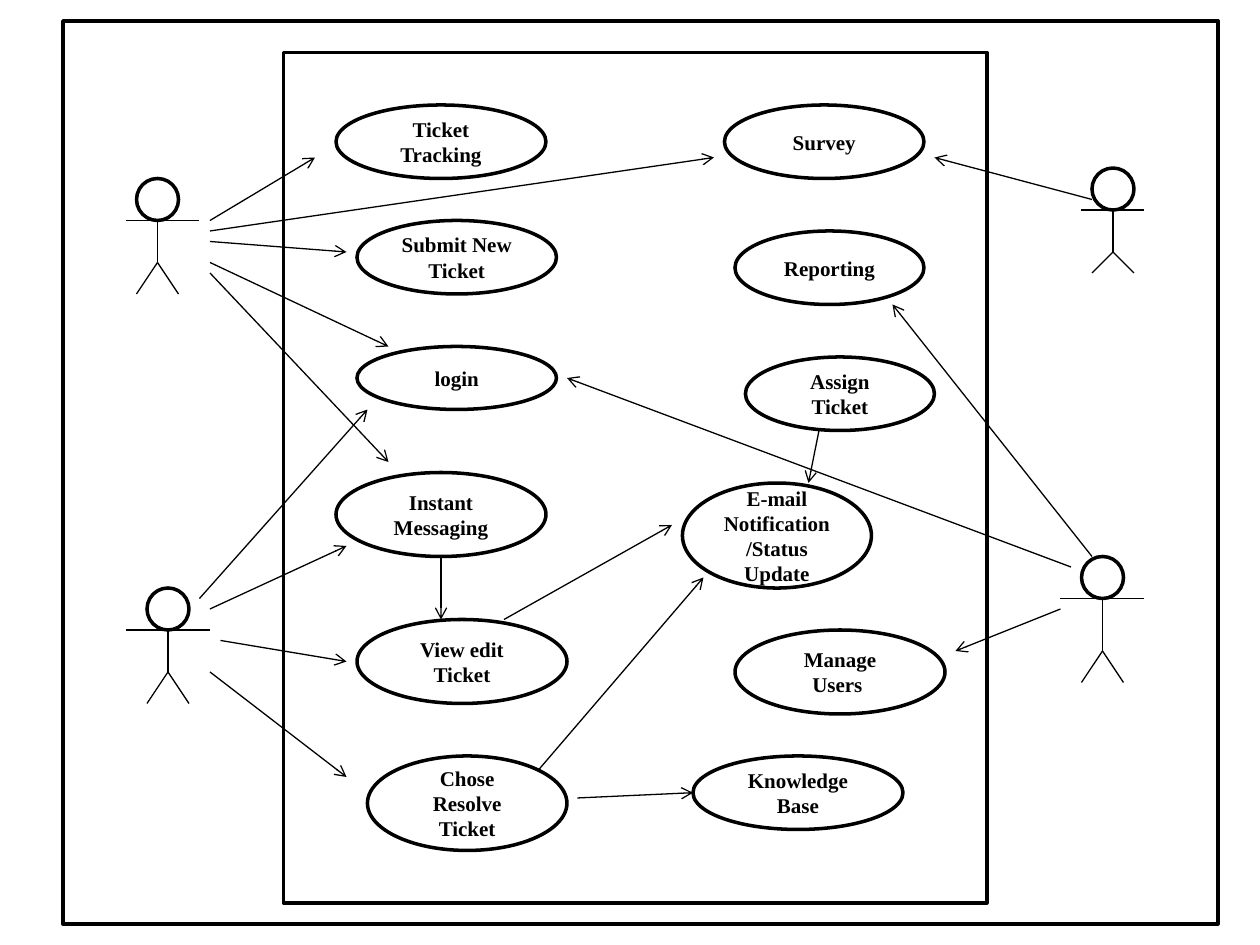
import pptx
import pptx.dml.color
import pptx.enum.shapes
import pptx.enum.text
import pptx.oxml
import pptx.oxml.ns
import pptx.util

PX = 9525  # EMU per px, 96 px to the inch
COLORS = {"ink": "000000", "paper": "FFFFFF"}
SHAPE = pptx.enum.shapes.MSO_SHAPE
HEAD = 32  # diameter of an actor's head
FOOT_SPREAD = 16


class Diagram:
    """Style and current slide of a use case diagram."""

    font_format = {"name": "Times New Roman", "size": pptx.util.Pt(12), "bold": True}
    frame_format = {
        "word_wrap": True,
        "vertical_anchor": pptx.enum.text.MSO_ANCHOR.MIDDLE,
    }
    outline_width = pptx.util.Pt(2)
    stroke_width = pptx.util.Pt(0.75)

    def __init__(self, slide):
        self.slide = slide

    def color(self, name):
        return pptx.dml.color.RGBColor.from_string(COLORS[name])

    def apply(self, target, values):
        for attribute, value in values.items():
            setattr(target, attribute, value)

    def outlined(self, kind, left, top, width, height):
        shape = self.slide.shapes.add_shape(
            kind, left * PX, top * PX, width * PX, height * PX)
        shape.shadow.inherit = False
        shape.fill.solid()
        shape.fill.fore_color.rgb = self.color("paper")
        shape.line.color.rgb = self.color("ink")
        shape.line.width = self.outline_width
        return shape

    def use_case(self, text, *box):
        frame = self.outlined(SHAPE.OVAL, *box).text_frame
        self.apply(frame, self.frame_format)
        frame.text = text
        for paragraph in frame.paragraphs:
            paragraph.alignment = pptx.enum.text.PP_ALIGN.CENTER
            for run in paragraph.runs:
                self.apply(run.font, self.font_format)
                run.font.color.rgb = self.color("ink")

    def stroke(self, x1, y1, x2, y2):
        line = self.slide.shapes.add_connector(
            pptx.enum.shapes.MSO_CONNECTOR.STRAIGHT,
            x1 * PX, y1 * PX, x2 * PX, y2 * PX)
        line.line.color.rgb = self.color("ink")
        line.line.width = self.stroke_width
        pptx.oxml.ns.qn("a:effectLst")
        line._element.spPr.append(pptx.oxml.parse_xml(
            f'<a:effectLst {pptx.oxml.ns.nsdecls("a")}/>'))
        return line

    def arrow(self, *ends):
        line = self.stroke(*ends)
        line.line._get_or_add_ln().append(pptx.oxml.parse_xml(
            f'<a:tailEnd {pptx.oxml.ns.nsdecls("a")} type="arrow"/>'))

    def actor(self, head_left, head_top, arm_left, arm_right, hip, foot):
        self.outlined(SHAPE.FLOWCHART_CONNECTOR, head_left, head_top, HEAD, HEAD)
        spine, neck = head_left + HEAD // 2, head_top + HEAD
        self.stroke(arm_left, neck, arm_right, neck)
        self.stroke(spine, neck, spine, hip)
        for side in (-1, 1):
            self.stroke(spine, hip, spine + side * FOOT_SPREAD, foot)


# Text, left, top, width, height
USE_CASES = [
    ("Ticket Tracking", 256, 80, 160, 56),
    ("Submit New Ticket", 272, 168, 152, 56),
    ("Assign Ticket", 568, 272, 144, 56),
    ("Reporting", 560, 176, 144, 56),
    ("Survey", 552, 80, 152, 56),
    ("login", 272, 264, 152, 48),
    ("E-mail\nNotification/Status Update", 520, 368, 144, 80),
    ("Manage Users ", 560, 480, 160, 64),
    ("Instant Messaging", 256, 360, 160, 64),
    ("View edit Ticket", 272, 472, 160, 64),
    ("Chose Resolve Ticket", 280, 576, 152, 72),
    ("Knowledge Base", 528, 576, 160, 56),
]

# Head left and top, arm left and right, hip, foot
ACTORS = [
    (104, 136, 96, 152, 200, 224),   # upper left
    (824, 424, 808, 872, 496, 520),  # lower right
    (832, 128, 824, 872, 192, 208),  # upper right
    (112, 448, 96, 160, 512, 536),   # lower left
]

# Start x and y, end x and y
ARROWS = [
    # upper left actor
    (160, 168, 240, 120),
    (160, 176, 544, 120),
    (160, 184, 264, 192),
    (160, 200, 296, 264),
    (160, 208, 296, 352),
    # lower left actor
    (152, 456, 280, 312),
    (160, 464, 264, 416),
    (168, 488, 264, 504),
    (160, 512, 264, 592),
    # between use cases
    (336, 424, 336, 472),
    (440, 608, 528, 604),
    (410, 587, 536, 440),
    (624, 328, 616, 368),
    (384, 472, 512, 400),
    # lower right actor
    (808, 464, 728, 496),
    (816, 432, 432, 288),
    (832, 424, 680, 232),
    # upper right actor
    (832, 152, 712, 120),
]


def main():
    presentation = pptx.Presentation()
    presentation.slide_width = 960 * PX
    presentation.slide_height = 720 * PX
    diagram = Diagram(presentation.slides.add_slide(presentation.slide_layouts[6]))

    # Outer frame and system boundary
    diagram.outlined(SHAPE.RECTANGLE, 48, 16, 880, 688)
    diagram.outlined(SHAPE.RECTANGLE, 216, 40, 536, 648)

    # Use cases, actors and the arrows between them
    for use_case in USE_CASES:
        diagram.use_case(*use_case)
    for actor in ACTORS:
        diagram.actor(*actor)
    for arrow in ARROWS:
        diagram.arrow(*arrow)

    presentation.save("out.pptx")


if __name__ == "__main__":
    main()
